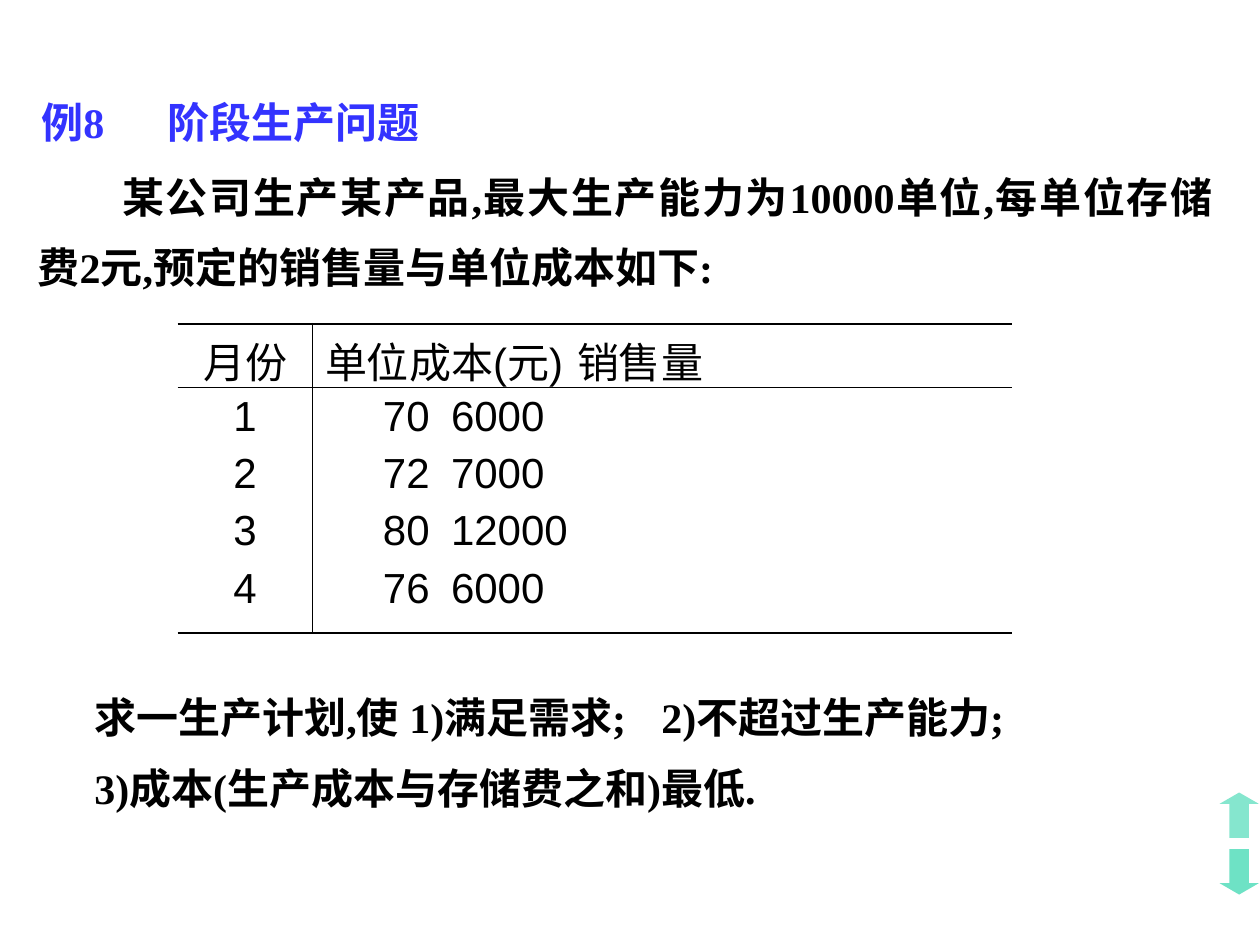
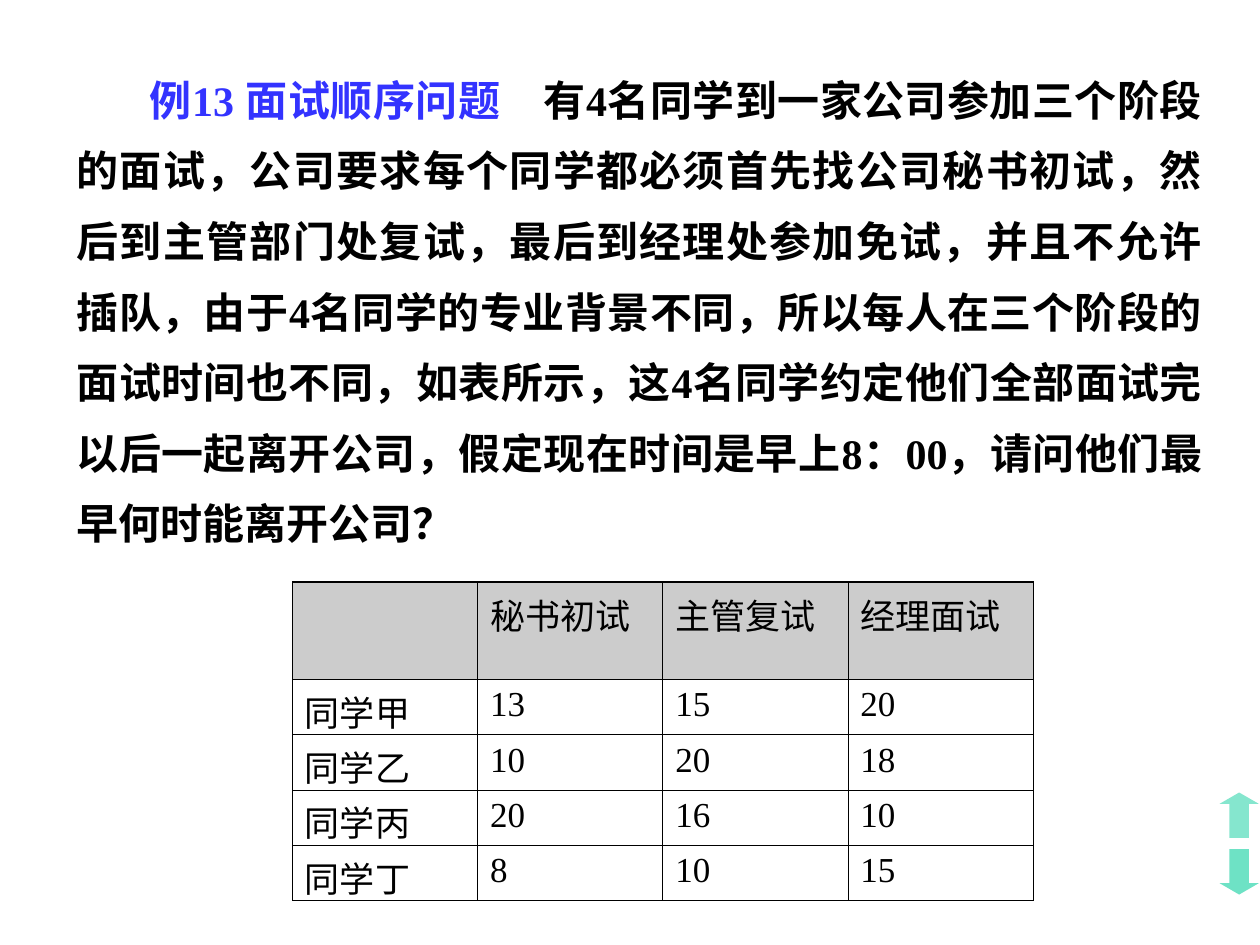
from lxml.etree import SubElement
from pptx import Presentation
from pptx.dml.color import RGBColor
from pptx.enum.shapes import MSO_SHAPE
from pptx.enum.text import MSO_ANCHOR, MSO_AUTO_SIZE, PP_ALIGN
from pptx.oxml.ns import qn
from pptx.util import Inches, Pt

BLACK, BLUE, GREEN, GRAY = "000000", "3333FF", "00CC99", "CCCCCC"
SERIF, SANS = "Times New Roman", "Arial"


def paint(fill, color, alpha=None):
    fill.solid()
    fill.fore_color.rgb = RGBColor.from_string(color)
    if alpha is not None:
        node = fill.fore_color._xFill.find(qn("a:srgbClr"))
        SubElement(node, qn("a:alpha"), val=str(alpha * 1000))


def write(frame, text, size=24, font=SERIF, color=BLACK, bold=False,
          align=PP_ALIGN.LEFT, line=None, before=0, indent=0, tabs=()):
    paras = text if isinstance(text, list) else [text]
    for i, para in enumerate(paras):
        p = frame.add_paragraph() if i else frame.paragraphs[0]
        p.alignment, p.line_spacing, p.space_before = align, line, Pt(before)
        props = p._p.get_or_add_pPr()
        props.set("marL", "0")
        props.set("indent", str(Inches(indent)))
        if tabs:
            stops = SubElement(props, qn("a:tabLst"))
            for pos, side in tabs:
                SubElement(stops, qn("a:tab"), pos=str(Inches(pos)), algn=side)
        for part, tint in [(para, color)] if isinstance(para, str) else para:
            run = p.add_run()
            run.text = part
            run.font.size, run.font.name, run.font.bold = Pt(size), font, bold
            run.font.color.rgb = RGBColor.from_string(tint)


def add_text(slide, box, text, anchor=MSO_ANCHOR.TOP, **style):
    frame = slide.shapes.add_textbox(*map(Inches, box)).text_frame
    frame.word_wrap = True
    frame.auto_size = MSO_AUTO_SIZE.SHAPE_TO_FIT_TEXT
    frame.vertical_anchor = anchor
    write(frame, text, bold=True, align=PP_ALIGN.JUSTIFY, line=1.4, **style)


def edge(cell, **widths):
    props = cell._tc.get_or_add_tcPr()
    for side in "LRTB":
        width = widths.get(side, 0)
        line = SubElement(props, qn("a:ln" + side), w=str(Pt(width)))
        if width:
            fill = SubElement(line, qn("a:solidFill"))
            SubElement(fill, qn("a:srgbClr"), val=BLACK)
        else:
            SubElement(line, qn("a:noFill"))


def add_grid(slide, left, top, cols, rows):
    shape = slide.shapes.add_table(
        len(rows), len(cols), Inches(left), Inches(top),
        Inches(sum(cols)), Inches(sum(rows)))
    grid = shape.table
    grid.first_row = grid.horz_banding = False
    for col, width in zip(grid.columns, cols):
        col.width = Inches(width)
    for row, height in zip(grid.rows, rows):
        row.height = Inches(height)
    return grid


def add_arrows(slide):
    for kind, top, alpha in [(MSO_SHAPE.UP_ARROW, 6.29, 48),
                             (MSO_SHAPE.DOWN_ARROW, 6.74, 57)]:
        arrow = slide.shapes.add_shape(
            kind, *map(Inches, (9.68, top, 0.31, 0.36)))
        arrow.adjustments[1] = 0.289
        arrow.shadow.inherit = False
        paint(arrow.fill, GREEN, alpha)
        arrow.line.fill.background()


def add_costs(slide, left, top):
    months = [(70, 6000), (72, 7000), (80, 12000), (76, 6000)]
    grid = add_grid(slide, left, top, [1.07, 5.55], [0.5, 1.95])
    style = dict(font=SANS, before=6)
    for row, (high, low) in enumerate([(1.08, 0.45), (0.45, 1.08)]):
        for col, side in enumerate("RL"):
            cell = grid.cell(row, col)
            edge(cell, T=high, B=low, **{side: 0.45})
            cell.fill.background()
    write(grid.cell(0, 0).text_frame, "月份", align=PP_ALIGN.CENTER, **style)
    write(grid.cell(0, 1).text_frame, "单位成本(元)\t销售量",
          tabs=[(3.61, "l")], **style)
    write(grid.cell(1, 0).text_frame,
          [str(i + 1) for i in range(len(months))],
          align=PP_ALIGN.CENTER, **style)
    write(grid.cell(1, 1).text_frame,
          [f"{cost}\t{sales}" for cost, sales in months],
          indent=0.46, tabs=[(4.43, "r")], **style)


def add_times(slide, left, top):
    data = [["", "秘书初试", "主管复试", "经理面试"],
            ["同学甲", 13, 15, 20],
            ["同学乙", 10, 20, 18],
            ["同学丙", 20, 16, 10],
            ["同学丁", 8, 10, 15]]
    last = len(data) - 1
    grid = add_grid(slide, left, top, [1.47] * 4, [0.77] + [0.44] * last)
    lines = [0.96, 0.45] + [0.34] * (last - 1) + [0.96]
    for r, row in enumerate(data):
        for c, value in enumerate(row):
            cell = grid.cell(r, c)
            edge(cell, L=0.34, R=0.34, T=lines[r], B=lines[r + 1])
            if r:
                cell.fill.background()
            else:
                paint(cell.fill, GRAY)
            if value != "":
                write(cell.text_frame, str(value), size=20)


def build_stage(slide):
    add_arrows(slide)
    add_text(slide, (0.23, 0.56, 4.25, 0.66), "例8\t阶段生产问题",
             color=BLUE, tabs=[(0.83, "l")])
    add_text(slide, (0.2, 1.15, 9.52, 1.22),
             "某公司生产某产品,最大生产能力为10000单位,每单位存储费2元,"
             "预定的销售量与单位成本如下:", indent=0.67)
    add_costs(slide, 1.41, 2.57)
    add_text(slide, (0.65, 5.28, 7.56, 1.22),
             ["求一生产计划,使\t1)满足需求;\t2)不超过生产能力;",
              "3)成本(生产成本与存储费之和)最低."],
             tabs=[(2.87, "l"), (4.96, "l")])


def build_queue(slide):
    add_arrows(slide)
    story = ("　有4名同学到一家公司参加三个阶段的面试，公司要求每个同学都必须"
             "首先找公司秘书初试，然后到主管部门处复试，最后到经理处参加免试，"
             "并且不允许插队，由于4名同学的专业背景不同，所以每人在三个阶段的"
             "面试时间也不同，如表所示，这4名同学约定他们全部面试完以后一起离开"
             "公司，假定现在时间是早上8：00，请问他们最早何时能离开公司？")
    add_text(slide, (0.51, 0.38, 9.13, 4.02),
             [[("例13 面试顺序问题", BLUE), (story, BLACK)]],
             anchor=MSO_ANCHOR.MIDDLE, indent=0.58)
    add_times(slide, 2.32, 4.62)


def main():
    deck = Presentation()
    deck.slide_width, deck.slide_height = Inches(10), Inches(7.5)
    for build in (build_stage, build_queue):
        build(deck.slides.add_slide(deck.slide_layouts[6]))
    deck.save("out.pptx")


if __name__ == "__main__":
    main()
